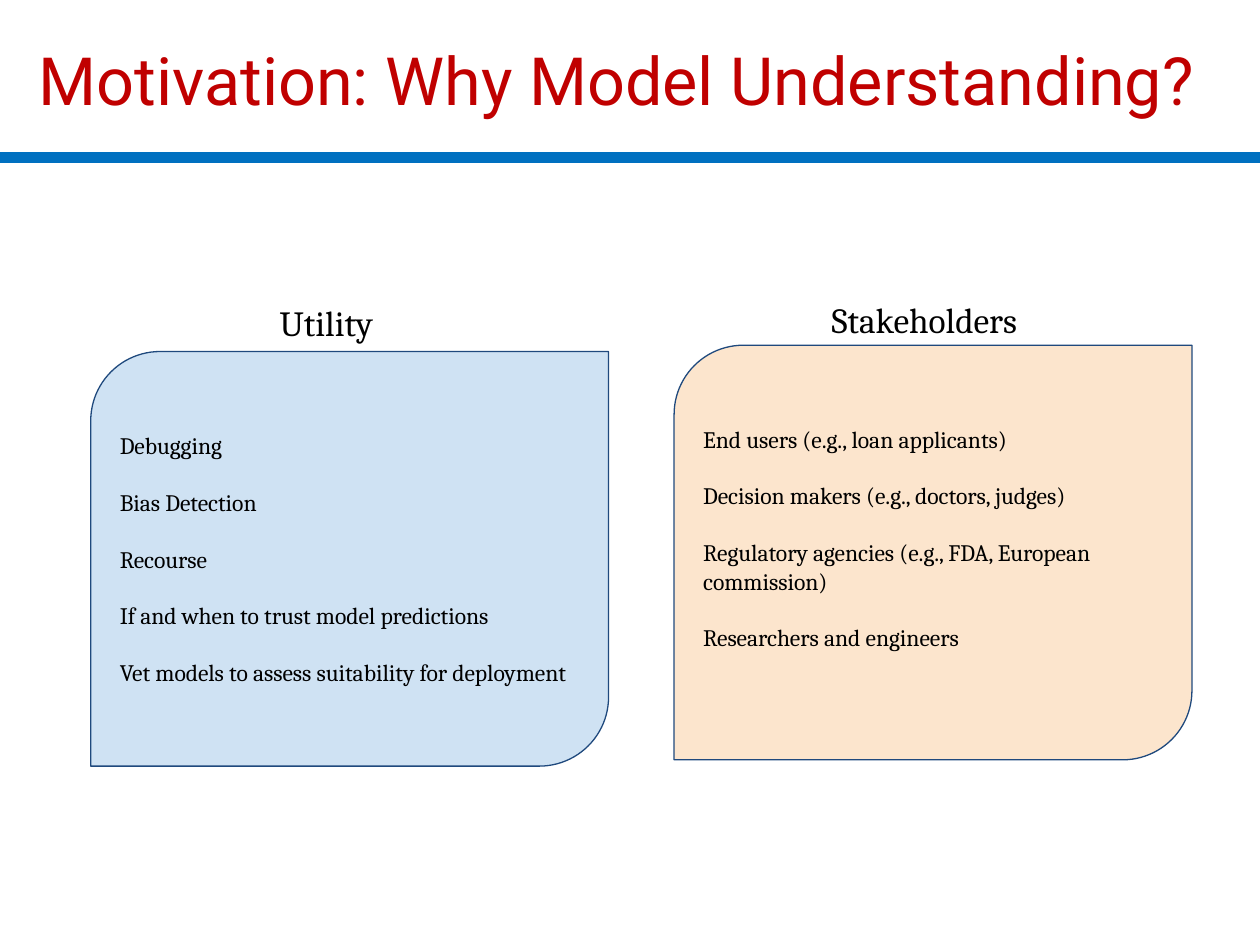
"""Build the slide on why model understanding matters."""
from lxml.etree import SubElement
from pptx import Presentation
from pptx.dml.color import RGBColor
from pptx.enum.shapes import MSO_CONNECTOR as Connector, MSO_SHAPE as Shape
from pptx.enum.text import MSO_ANCHOR as Anchor, MSO_AUTO_SIZE as AutoSize, PP_ALIGN as Align
from pptx.oxml.ns import qn
from pptx.util import Inches, Pt

TITLE = "Motivation: Why Model Understanding?"
PANELS = [
    {
        "heading": "Utility", "heading_at": (2.15, 2.32), "panel_at": (0.72, 2.79),
        "fill": "blue", "bottom": 0.07,
        "items": ["Debugging", "Bias Detection", "Recourse",
                  "If and when to trust model predictions",
                  "Vet models to assess suitability for deployment"],
    },
    {
        "heading": "Stakeholders", "heading_at": (6.53, 2.3), "panel_at": (5.35, 2.74),
        "fill": "orange", "bottom": 0.3,
        "items": ["End users (e.g., loan applicants)",
                  "Decision makers (e.g., doctors, judges)",
                  "Regulatory agencies (e.g., FDA, European commission)",
                  "Researchers and engineers"],
    },
]
COLORS = {"title": "C00000", "rule": "0070C0", "outline": "1F497D",
          "text": "000000", "blue": "CFE2F3", "orange": "FCE5CD"}
HEADING_SIZE = (5.09, 0.59)
PANEL_SIZE = (4.11, 3.29)


def color(name):
    return RGBColor.from_string(COLORS[name])


def set_frame(box, anchor, left, top, right, bottom):
    frame = box.text_frame
    frame.word_wrap = True
    frame.auto_size = AutoSize.NONE
    frame.vertical_anchor = anchor
    frame.margin_left, frame.margin_top = Inches(left), Inches(top)
    frame.margin_right, frame.margin_bottom = Inches(right), Inches(bottom)
    return frame


def write(frame, lines, size, font="Cambria", ink="text", align=Align.LEFT, gap=0):
    for index, line in enumerate(lines):
        para = frame.add_paragraph() if index else frame.paragraphs[0]
        para.alignment = align
        para.space_before = Pt(gap if index else 0)
        span = para.add_run()
        span.text = line
        span.font.name, span.font.size = font, Pt(size)
        span.font.color.rgb = color(ink)


def add_title(page):
    title = page.shapes.title
    title.left, title.top = Inches(0.17), Inches(0.08)
    title.width, title.height = Inches(9.58), Inches(1.09)
    frame = set_frame(title, Anchor.MIDDLE, 0.07, 0.04, 0.2, 0.04)
    write(frame, [TITLE], 38, "Roboto", "title", Align.CENTER)


def add_rule(page):
    rule = page.shapes.add_connector(
        Connector.STRAIGHT, Inches(0), Inches(1.25), Inches(10), Inches(1.25))
    rule.line.color.rgb = color("rule")
    rule.line.width = Pt(6)
    SubElement(rule.line._get_or_add_ln().getparent(), qn("a:effectLst"))


def add_panel(page, panel):
    place = map(Inches, panel["panel_at"] + PANEL_SIZE)
    box = page.shapes.add_shape(Shape.ROUND_2_DIAG_RECTANGLE, *place)
    box.adjustments[0], box.adjustments[1] = 0.167, 0
    box.shadow.inherit = False
    box.fill.solid()
    box.fill.fore_color.rgb = color(panel["fill"])
    box.line.color.rgb = color("outline")
    box.line.width = Pt(0.75)
    frame = set_frame(box, Anchor.MIDDLE, 0.07, 0.07, 0.07, panel["bottom"])
    write(frame, panel["items"], 13.5, gap=16.2)

    heading = page.shapes.add_textbox(*map(Inches, panel["heading_at"] + HEADING_SIZE))
    write(set_frame(heading, Anchor.TOP, 0.07, 0.07, 0.07, 0.07), [panel["heading"]], 20.2)


def main():
    deck = Presentation()
    deck.slide_width, deck.slide_height = Inches(10), Inches(7.5)
    page = deck.slides.add_slide(deck.slide_layouts[5])
    add_rule(page)
    add_title(page)
    for panel in PANELS:
        add_panel(page, panel)
    deck.save("out.pptx")


if __name__ == "__main__":
    main()
